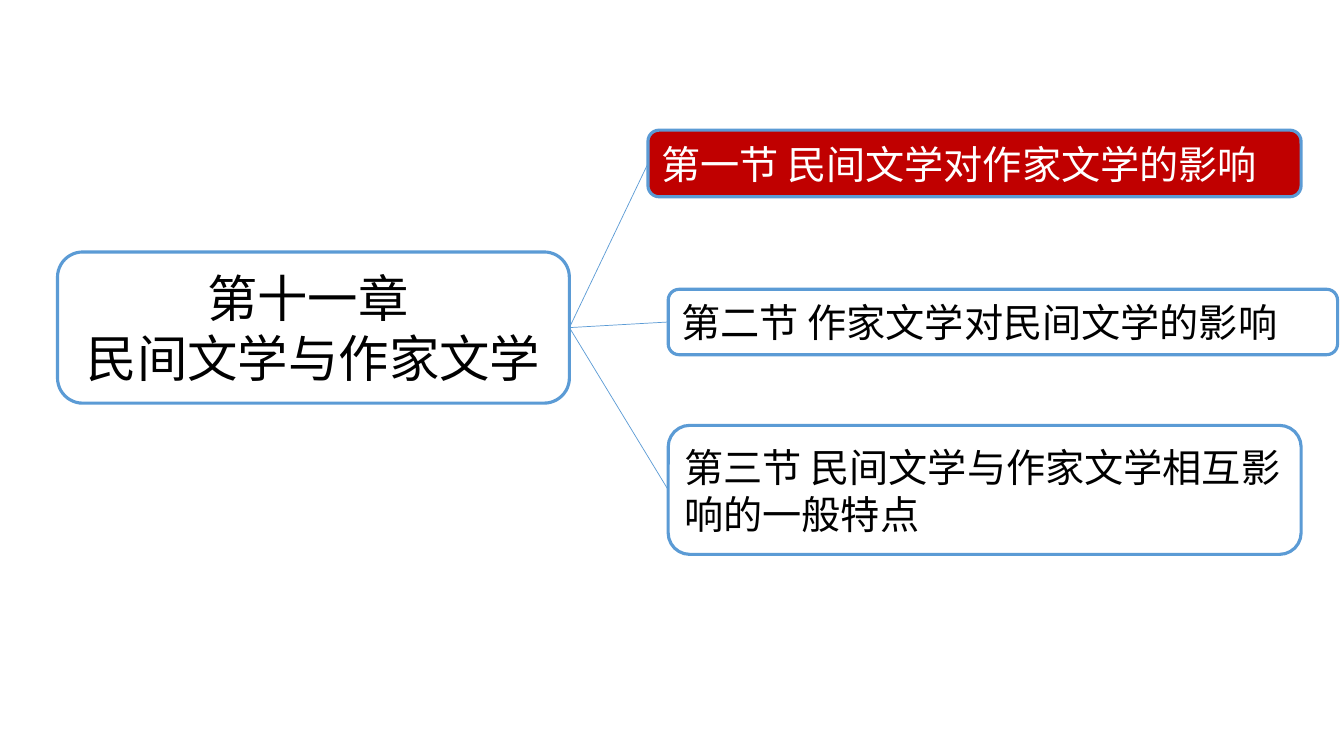
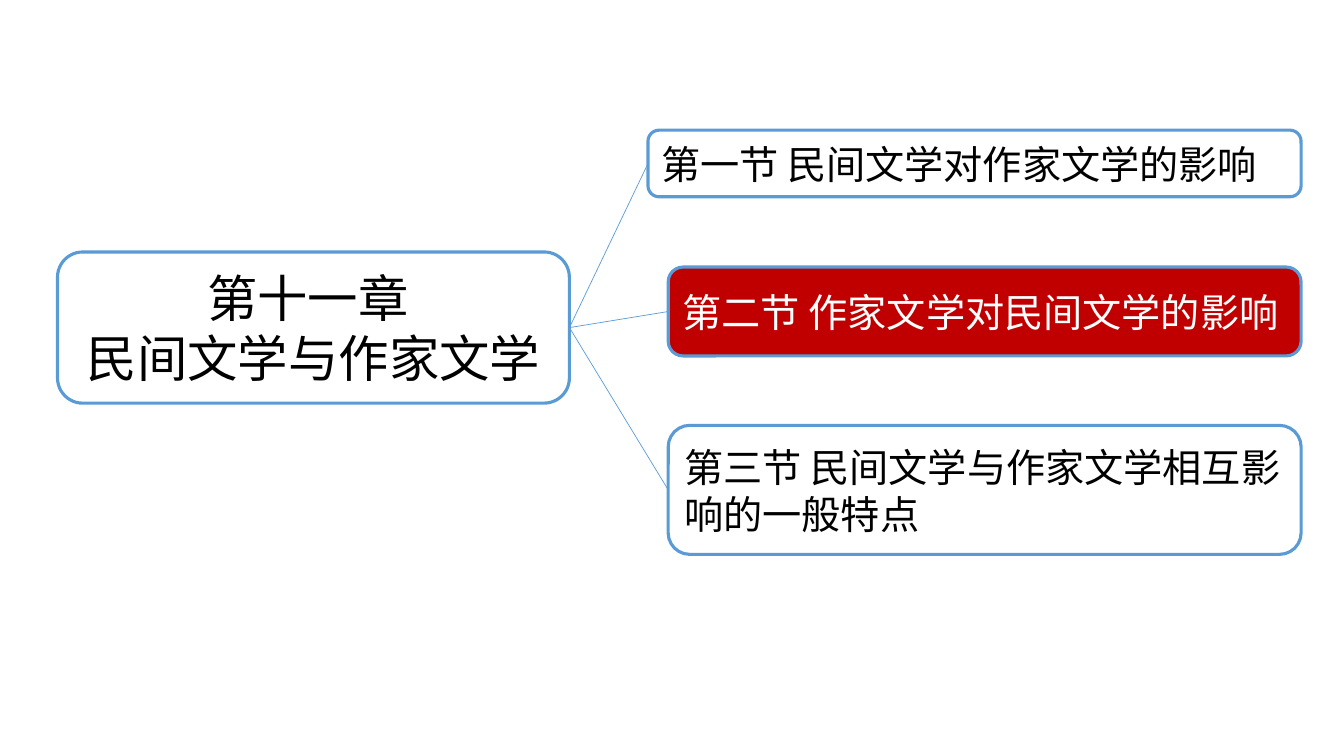
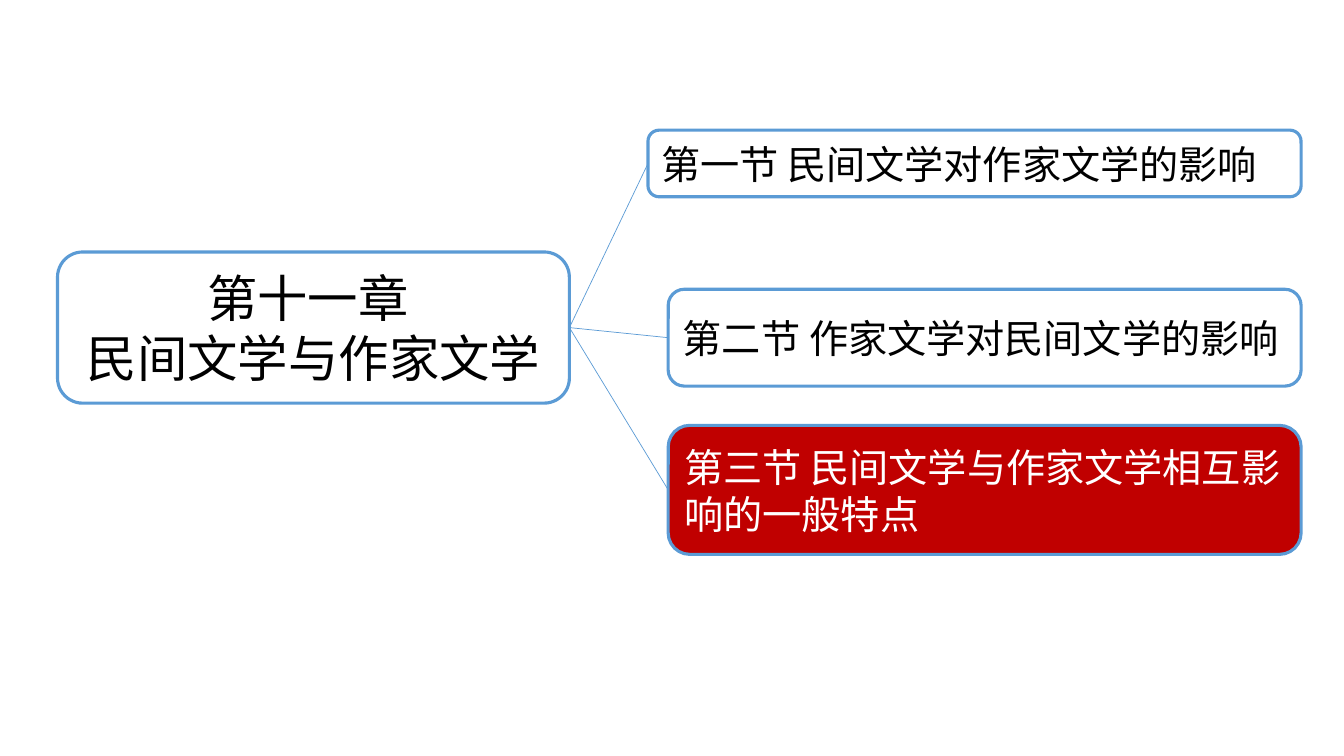
import pptx
import pptx.util
import pptx.dml.color
import pptx.enum.shapes
import pptx.enum.text
import pptx.oxml.ns
import lxml.etree

Cm = pptx.util.Cm
Pt = pptx.util.Pt
RGBColor = pptx.dml.color.RGBColor
Align = pptx.enum.text.PP_ALIGN

BLUE = RGBColor(0x5B, 0x9B, 0xD5)
RED = RGBColor(0xC0, 0x00, 0x00)
BLACK = RGBColor(0x00, 0x00, 0x00)
WHITE = RGBColor(0xFF, 0xFF, 0xFF)
FONT = "Noto Sans CJK SC"

CHAPTER = ["第十一章 ", "民间文学与作家文学"]
SECTIONS = [
    "第一节 民间文学对作家文学的影响",
    "第二节 作家文学对民间文学的影响",
    "第三节 民间文学与作家文学相互影响的一般特点",
]

# Lengths in cm; boxes are (left, top, width, height) inside the map.
MAP_LEFT, MAP_TOP = 1.45, 3.28
CHAPTER_BOX = (0, 3.07, 12.9, 3.81)
FIRST_BOX = (14.88, 0, 16.46, 1.68)
THIRD_BOX = (15.39, 7.44, 15.95, 3.25)
# The second section's box differs on each slide.
SECOND_BOXES = [
    (15.39, 4.01, 16.87, 1.65),
    (15.39, 3.45, 15.95, 2.24),
    (15.39, 4.01, 15.95, 2.44),
]
LEFT_SITE, RIGHT_SITE = 1, 3


def set_all(target, values):
    for name, value in values.items():
        setattr(target, name, value)


def add_box(slide, place, lines, size, align, active=False):
    """Draw a rounded box; an active one is red with white text."""
    left, top, width, height = place
    box = slide.shapes.add_shape(
        pptx.enum.shapes.MSO_SHAPE.ROUNDED_RECTANGLE,
        Cm(left), Cm(top), Cm(width), Cm(height))
    box.shadow.inherit = False
    if active:
        box.fill.solid()
        box.fill.fore_color.rgb = RED
    else:
        box.fill.background()
    box.line.color.rgb = BLUE
    box.line.width = Pt(2.25)

    frame = box.text_frame
    set_all(frame, {"word_wrap": True,
                    "vertical_anchor": pptx.enum.text.MSO_ANCHOR.MIDDLE})
    for index, line in enumerate(lines):
        para = frame.add_paragraph() if index else frame.paragraphs[0]
        para.alignment = align
        span = para.add_run()
        span.text = line
        set_all(span.font, {"size": Pt(size), "name": FONT})
        span.font.color.rgb = WHITE if active else BLACK
        east_asian = lxml.etree.SubElement(
            span.font._element, pptx.oxml.ns.qn("a:ea"))
        east_asian.set("typeface", FONT)
    return box


def add_branch(slide, chapter, section):
    """Join the right of the chapter box to the left of a section box."""
    branch = slide.shapes.add_connector(
        pptx.enum.shapes.MSO_CONNECTOR.STRAIGHT, 0, 0, 0, 0)
    branch.begin_connect(chapter, RIGHT_SITE)
    branch.end_connect(section, LEFT_SITE)
    branch.line.color.rgb = BLUE
    branch.line.width = Pt(0.5)
    lxml.etree.SubElement(
        branch._element.spPr, pptx.oxml.ns.qn("a:effectLst"))


def add_chapter_map(slide, left, top, second_box, active_index):
    def placed(box):
        return (left + box[0], top + box[1], box[2], box[3])

    chapter = add_box(slide, placed(CHAPTER_BOX), CHAPTER, 36, Align.CENTER)
    section_boxes = [FIRST_BOX, second_box, THIRD_BOX]
    sections = [
        add_box(slide, placed(box), [title], 28, Align.LEFT,
                index == active_index)
        for index, (box, title) in enumerate(zip(section_boxes, SECTIONS))
    ]
    for section in sections:
        add_branch(slide, chapter, section)


def main():
    deck = pptx.Presentation()
    set_all(deck, {"slide_width": Cm(33.87), "slide_height": Cm(19.05)})
    blank = deck.slide_layouts[6]
    for active_index, second_box in enumerate(SECOND_BOXES):
        slide = deck.slides.add_slide(blank)
        add_chapter_map(slide, MAP_LEFT, MAP_TOP, second_box, active_index)
    deck.save("out.pptx")


if __name__ == "__main__":
    main()
